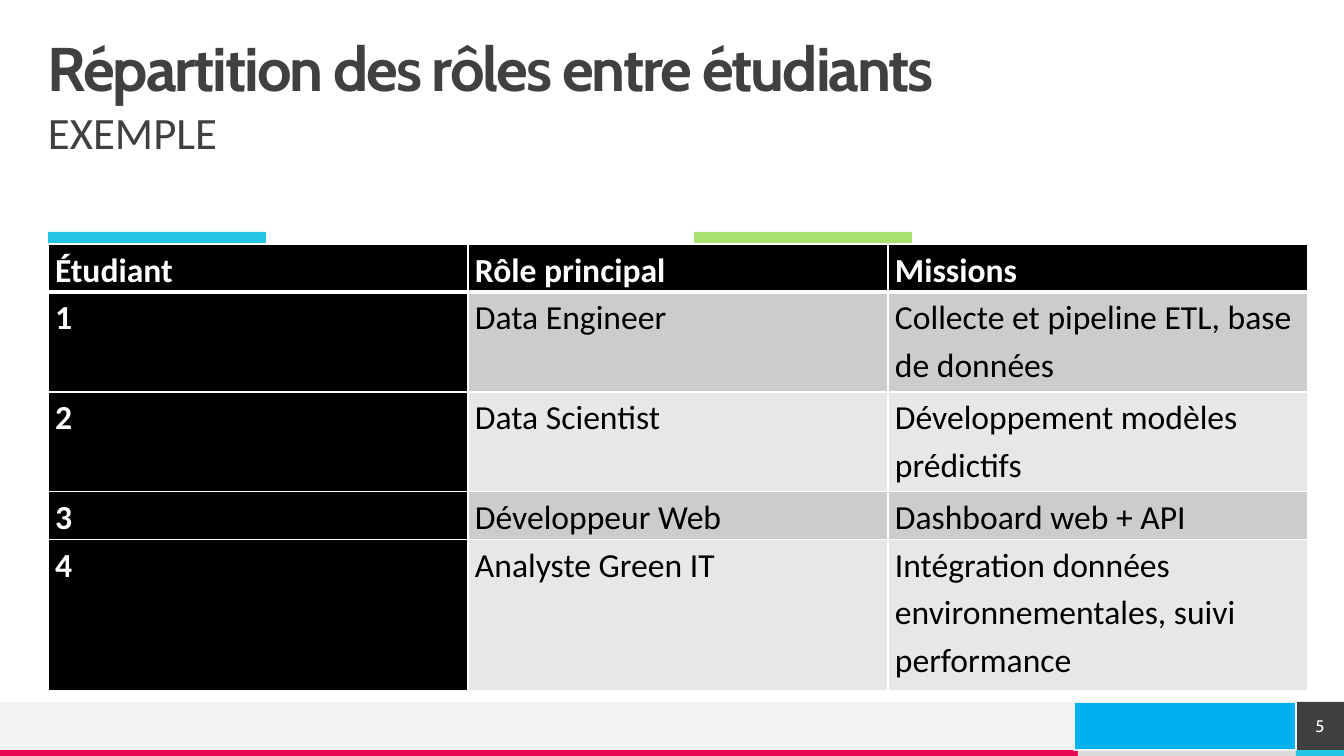
from dataclasses import dataclass

from pptx import Presentation
from pptx.dml.color import RGBColor as RGB
from pptx.enum.shapes import MSO_CONNECTOR as CONN, MSO_SHAPE as SHAPE
from pptx.enum.text import MSO_ANCHOR as ANCHOR, PP_ALIGN as ALIGN
from pptx.oxml.ns import qn
from pptx.util import Emu, Pt
from lxml.etree import Element, SubElement

SCALE = 914400 / 100.8
WIDTH, HEIGHT = 1344, 756
MARGIN = 48
TEXT_WIDTH = WIDTH - 2 * MARGIN
FOOTER_TOP, FOOTER_HEIGHT = 702, 48
STRIP_TOP, STRIP_HEIGHT = 750, 6
STRIP_SPLIT, NUMBER_LEFT = 1078, 1296
TABLE_TOP, COLUMN_WIDTH, CELL_MARGIN = 244, 420, 7

HEADERS = ["Étudiant", "Rôle principal", "Missions"]
ROLES = [
    ["1", "Data Engineer", "Collecte et pipeline ETL, base de données"],
    ["2", "Data Scientist", "Développement modèles prédictifs"],
    ["3", "Développeur Web", "Dashboard web + API"],
    ["4", "Analyste Green IT",
     "Intégration données environnementales, suivi performance"],
]
ROW_HEIGHTS = [48, 100, 100, 48, 151]


@dataclass(frozen=True)
class Theme:
    """Colours, fonts and type sizes of the slide."""
    dark: str = "404040"
    cyan: str = "25C6E3"
    green: str = "A9E26F"
    pink: str = "E80554"
    blue: str = "00B0F0"
    pale: str = "F2F2F2"
    grey: str = "DADADA"
    black: str = "000000"
    white: str = "FFFFFF"
    bands: tuple = ("CCCCCC", "E7E7E7")
    head_font: str = "Cabin"
    body_font: str = "Calibri"
    title_size: int = 44
    subtitle_size: int = 32
    table_size: int = 24
    number_size: int = 12


T = Theme()


def px(n):
    """Turn pixels into EMU."""
    return Emu(round(n * SCALE))


def apply(obj, formats):
    """Set each named attribute of an object."""
    for name, value in formats.items():
        setattr(obj, name, value)


def margins(side, top=0):
    """Give equal side margins and equal top and bottom margins."""
    return {"margin_left": px(side), "margin_right": px(side),
            "margin_top": px(top), "margin_bottom": px(top)}


def paint(fill, color):
    """Make a fill solid in one colour."""
    fill.solid()
    fill.fore_color.rgb = RGB.from_string(color)


def write(tf, text, color, font, para):
    """Write one formatted run and return it."""
    p = tf.paragraphs[0]
    apply(p, para)
    r = p.add_run()
    r.text = text
    apply(r.font, font)
    r.font.color.rgb = RGB.from_string(color)
    return r


def add_rect(s, box, fill, line=None):
    """Add a flat rectangle, outlined if a line colour is given."""
    sp = s.shapes.add_shape(SHAPE.RECTANGLE, *map(px, box))
    sp.shadow.inherit = False
    paint(sp.fill, fill)
    if line:
        paint(sp.line.fill, line)
        sp.line.width = Pt(1)
    else:
        sp.line.fill.background()
    return sp


def add_rule(s, start, end, color):
    """Add a thin straight line."""
    rule = s.shapes.add_connector(CONN.STRAIGHT, *map(px, start + end))
    paint(rule.line.fill, color)
    rule.line.width = Pt(0.5)
    SubElement(rule._element.spPr, qn("a:effectLst"))


def add_text(s, box, text, font, para, anchor=ANCHOR.TOP):
    """Add a wrapped text box without margins and return its run."""
    tf = s.shapes.add_textbox(*map(px, box)).text_frame
    apply(tf, {**margins(0), "word_wrap": True, "vertical_anchor": anchor})
    return write(tf, text, T.dark, font, para)


def set_borders(cell, top, bottom):
    """Draw white cell borders with the given top and bottom widths."""
    widths = {"a:lnL": 1, "a:lnR": 1, "a:lnT": top, "a:lnB": bottom}
    tc_pr = cell._tc.get_or_add_tcPr()
    for i, (tag, width) in enumerate(widths.items()):
        ln = Element(qn(tag), w=str(Pt(width)))
        fill = SubElement(ln, qn("a:solidFill"))
        SubElement(fill, qn("a:srgbClr"), val=T.white)
        tc_pr.insert(i, ln)


def fill_cell(cell, text, row, strong):
    """Fill one cell, white on black if strong, else black on its band."""
    paint(cell.fill, T.black if strong else T.bands[(row - 1) % 2])
    set_borders(cell, top=3 if row == 1 else 1, bottom=3 if row == 0 else 1)
    apply(cell, margins(CELL_MARGIN))
    write(cell.text_frame, text, T.white if strong else T.black,
          {"name": T.body_font, "size": Pt(T.table_size), "bold": strong},
          {"line_spacing": 1.15, "space_after": Pt(10)})


def add_roles_table(s):
    """Add the roles table with a strong first row and first column."""
    rows = [HEADERS] + ROLES
    box = (MARGIN, TABLE_TOP, COLUMN_WIDTH * len(HEADERS), sum(ROW_HEIGHTS))
    table = s.shapes.add_table(len(rows), len(HEADERS), *map(px, box)).table
    for col in table.columns:
        col.width = px(COLUMN_WIDTH)
    for i, (texts, height) in enumerate(zip(rows, ROW_HEIGHTS)):
        table.rows[i].height = px(height)
        for j, text in enumerate(texts):
            fill_cell(table.cell(i, j), text, i, strong=i == 0 or j == 0)


def add_headings(s):
    """Add the title and the subtitle."""
    title = add_text(
        s, (MARGIN, 48, TEXT_WIDTH, 47),
        "Répartition des rôles entre étudiants",
        {"name": T.head_font, "size": Pt(T.title_size), "bold": True},
        {"line_spacing": 0.9}, ANCHOR.MIDDLE)
    title.font._element.set("spc", "-150")
    add_text(s, (MARGIN, 111, TEXT_WIDTH, 39), "EXEMPLE",
             {"name": T.body_font, "size": Pt(T.subtitle_size)},
             {"line_spacing": 0.9, "space_before": Pt(10)})


def add_accents(s):
    """Add the two coloured bars above the table."""
    for left, color in ((MARGIN, T.cyan), (694, T.green)):
        add_rect(s, (left, 232, 218, 13), color)


def add_footer(s):
    """Add the footer band, its strips, the blue block and the number."""
    add_rect(s, (0, FOOTER_TOP, STRIP_SPLIT, FOOTER_HEIGHT), T.pale)
    edges = (0, STRIP_SPLIT, NUMBER_LEFT, WIDTH)
    for left, right, color in zip(edges, edges[1:], (T.pink, T.grey, T.cyan)):
        add_rect(s, (left, STRIP_TOP, right - left, STRIP_HEIGHT), color)
    add_rule(s, (WIDTH, FOOTER_TOP), (0, FOOTER_TOP), T.pale)
    number = add_rect(s, (NUMBER_LEFT, FOOTER_TOP, MARGIN, FOOTER_HEIGHT),
                      T.dark)
    tf = number.text_frame
    apply(tf, {**margins(0), "vertical_anchor": ANCHOR.MIDDLE})
    write(tf, "5", T.white,
          {"name": T.head_font, "size": Pt(T.number_size)},
          {"alignment": ALIGN.CENTER})
    add_rect(s, (1074, FOOTER_TOP, 222, FOOTER_HEIGHT), T.blue, T.pale)


def main():
    """Build and save the slide."""
    prs = Presentation()
    apply(prs, {"slide_width": px(WIDTH), "slide_height": px(HEIGHT)})
    s = prs.slides.add_slide(prs.slide_layouts[6])
    for add_part in (add_headings, add_accents, add_roles_table, add_footer):
        add_part(s)
    prs.save("out.pptx")


if __name__ == "__main__":
    main()
